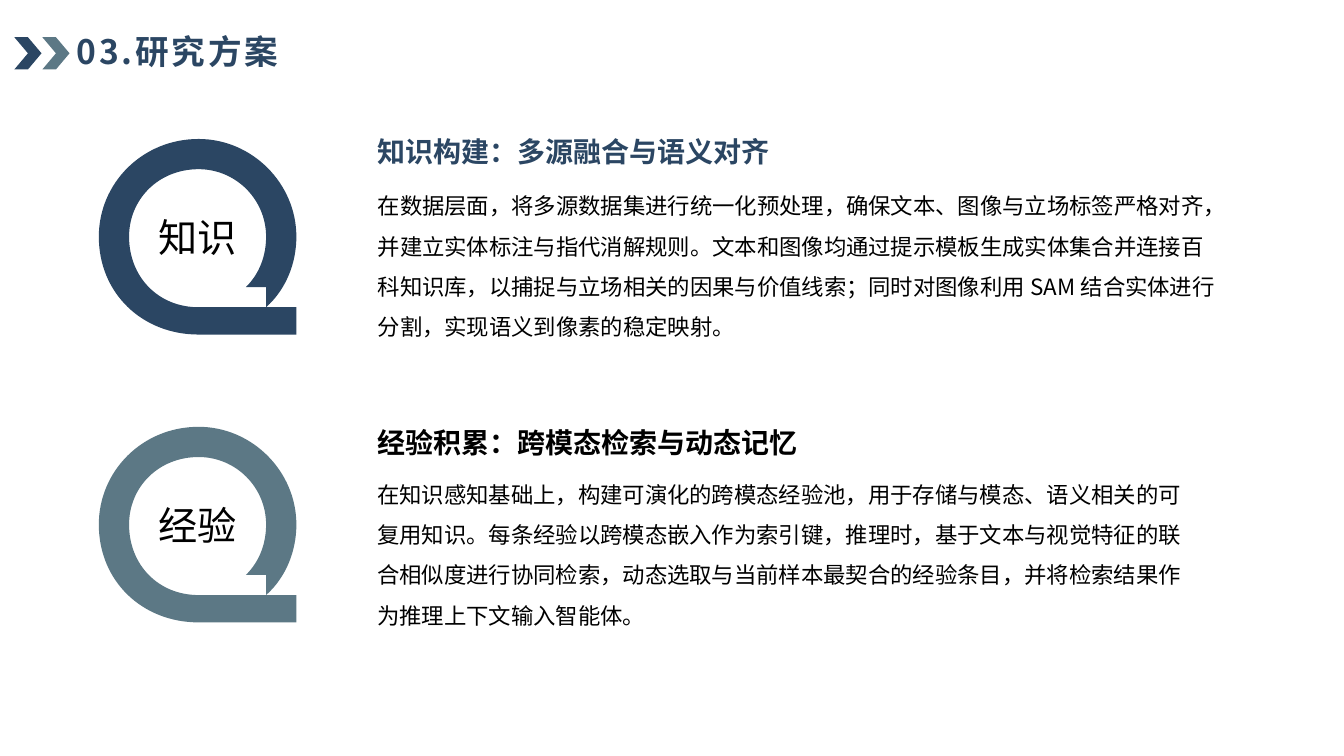
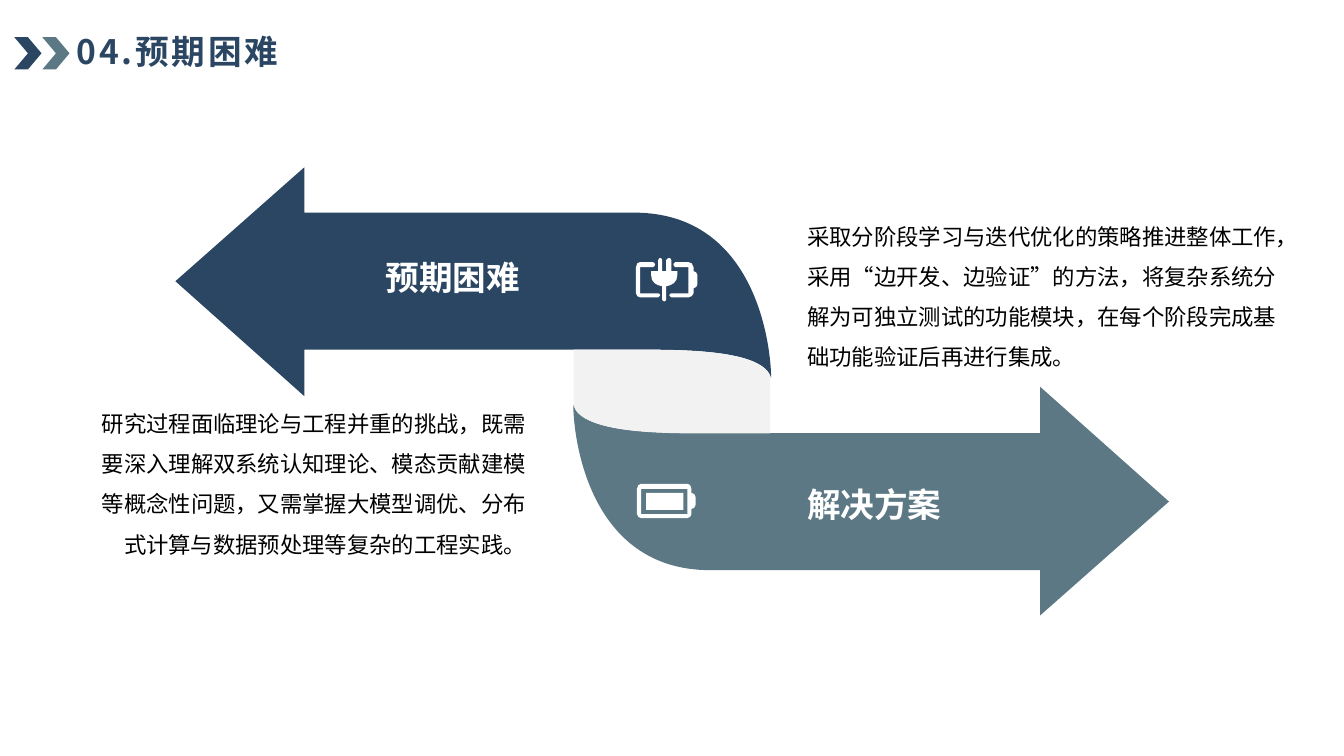
from lxml import etree
from pptx import Presentation
from pptx.dml.color import RGBColor
from pptx.enum import shapes, text
from pptx.oxml import ns
from pptx.util import Pt

FONT = "Noto Sans CJK SC"
COLORS = {"navy": "2B4663", "teal": "5C7885", "fold": "F2F2F2", "white": "FFFFFF", "black": "000000"}
LEFT, CENTER, RIGHT = text.PP_ALIGN.LEFT, text.PP_ALIGN.CENTER, text.PP_ALIGN.RIGHT

STYLES = {
    "title": {"size": 24, "bold": True, "color": "navy", "line": 0.9},
    "heading": {"size": 20, "bold": True, "wrap": False},
    "body": {"size": 16, "line": 1.5},
    "ring": {"size": 28, "align": CENTER},
    "arrow": {"size": 24, "bold": True, "color": "white", "wrap": False},
}
TITLE_BOX = (54.7, 20.9, 633.6, 34.6)
CHEVRONS = [(30.3, "teal"), (10.3, "navy")]

TOPICS = [
    {"label": "知识", "fill": "navy", "heading": "知识构建：多源融合与语义对齐", "ink": "navy",
     "heading_box": (269.5, 96.2, 283, 24.5), "body_box": (269.8, 128, 602, 141.8),
     "body": "在数据层面，将多源数据集进行统一化预处理，确保文本、图像与立场标签严格对齐，"
             "并建立实体标注与指代消解规则。文本和图像均通过提示模板生成实体集合并连接百科知识库，"
             "以捕捉与立场相关的因果与价值线索；同时对图像利用 SAM 结合实体进行分割，实现语义到像素的稳定映射。"},
    {"label": "经验", "fill": "teal", "heading": "经验积累：跨模态检索与动态记忆", "ink": "black",
     "heading_box": (269.5, 303.8, 303.1, 24.5), "body_box": (269.5, 333.9, 580.5, 113),
     "body": "在知识感知基础上，构建可演化的跨模态经验池，用于存储与模态、语义相关的可复用知识。"
             "每条经验以跨模态嵌入作为索引键，推理时，基于文本与视觉特征的联合相似度进行协同检索，"
             "动态选取与当前样本最契合的经验条目，并将检索结果作为推理上下文输入智能体。"},
]
RING_LEFT, RING_TOP, RING_PITCH = 70.6, 99.3, 205.6

SIDES = [
    {"label": "预期困难", "label_box": (274.3, 183.6, 97.2, 28.8), "align": RIGHT,
     "box": (67.7, 283.2, 308.2, 113),
     "body": "研究过程面临理论与工程并重的挑战，既需要深入理解双系统认知理论、模态贡献建模等概念性问题，"
             "又需掌握大模型调优、分布式计算与数据预处理等复杂的工程实践。"},
    {"label": "解决方案", "label_box": (576.5, 345.6, 97.2, 28.8), "align": LEFT,
     "box": (576.7, 149.5, 335.5, 113),
     "body": "采取分阶段学习与迭代优化的策略推进整体工作，采用“边开发、边验证”的方法，"
             "将复杂系统分解为可独立测试的功能模块，在每个阶段完成基础功能验证后再进行集成。"},
]

RING = [
    [(21.6, 69.8), (21.6, 43.2, 42.5, 21.6, 71.3, 21.6), (97.9, 21.6, 119.5, 43.2, 119.5, 69.8),
     (119.5, 82.8, 115.2, 95.8, 105.1, 105.8), (119.5, 105.8), (119.5, 120.2), (71.3, 120.2),
     (42.5, 120.2, 21.6, 98.6, 21.6, 69.8)],
    [(119.5, 120.2), (133.9, 107.3, 141.1, 88.6, 141.1, 69.8), (141.1, 31.7, 109.4, 0, 71.3, 0),
     (31, 0, 0, 31.7, 0, 69.8), (0, 110.2, 31, 139.7, 71.3, 139.7), (141.1, 139.7), (141.1, 120.2)],
]
ARROW = [[(452.9, 151.9), (217.4, 151.9), (217.4, 119.5), (125.3, 200.9), (217.4, 283), (217.4, 249.8),
          (452.9, 249.8), (483.8, 249.8, 545.8, 249.1, 550.8, 270),
          (550.8, 249.8, 541.4, 151.9, 452.9, 151.9)]]
ARROW_TURN = (960.3, 559.2)
FOLD = [[(507.6, 309.6), (550.1, 309.6), (550.1, 268.6), (542.2, 249.1, 483.1, 249.8, 452.9, 249.8),
         (409.7, 249.8), (409.7, 288.7), (414.7, 310.3, 475.9, 309.6, 507.6, 309.6)]]
BATTERY = [
    [(493.9, 352.1), (493.9, 349.2), (493.9, 347, 492.5, 345.6, 491, 345.6), (457.9, 345.6),
     (456.5, 345.6, 455, 347, 455, 349.2), (455, 367.2), (455, 368.6, 456.5, 370.1, 457.9, 370.1),
     (491, 370.1), (492.5, 370.1, 493.9, 368.6, 493.9, 367.2), (493.9, 363.6),
     (495.4, 363.6, 496.8, 362.2, 496.8, 360.7), (496.8, 355), (496.8, 353.5, 495.4, 352.1, 493.9, 352.1)],
    [(457.9, 367.2), (457.9, 349.2), (491, 349.2), (491, 367.2)],
]
CHARGE = (461.5, 352.1, 26.6, 12.2)
CASE_LEFT = [[(470.2, 209.5), (457.2, 209.5), (457.2, 190.8), (466.6, 190.8),
              (467.3, 190.8, 468, 189.4, 468, 188.6), (468, 187.9, 467.3, 187.2, 466.6, 187.2),
              (457.2, 187.2), (455.8, 187.2, 454.3, 188.6, 454.3, 190.8), (454.3, 209.5),
              (454.3, 211, 455.8, 212.4, 457.2, 212.4), (470.2, 212.4),
              (470.9, 212.4, 471.6, 211.7, 471.6, 211), (471.6, 210.2, 470.9, 209.5, 470.2, 209.5)]]
CASE_RIGHT = [[(495.4, 193.7), (495.4, 190.8), (495.4, 188.6, 493.2, 187.2, 491.8, 187.2), (482.4, 187.2),
               (481.7, 187.2, 481, 187.9, 481, 188.6), (481, 189.4, 481.7, 190.8, 482.4, 190.8),
               (491.8, 190.8), (491.8, 209.5), (479.5, 209.5), (478.8, 209.5, 478.1, 210.2, 478.1, 211),
               (478.1, 211.7, 478.8, 212.4, 479.5, 212.4), (491.8, 212.4),
               (493.2, 212.4, 495.4, 211, 495.4, 209.5), (495.4, 205.9),
               (496.8, 205.9, 498.2, 204.5, 498.2, 203), (498.2, 196.6),
               (498.2, 195.1, 496.8, 193.7, 495.4, 193.7)]]
PLUG = [[(483.8, 196.6), (483.8, 193.7), (479.5, 193.7), (479.5, 185.8),
         (479.5, 185, 478.8, 184.3, 478.1, 184.3), (477.4, 184.3, 475.9, 185, 475.9, 185.8),
         (475.9, 193.7), (473, 193.7), (473, 185.8), (473, 185, 472.3, 184.3, 471.6, 184.3),
         (470.9, 184.3, 470.2, 185, 470.2, 185.8), (470.2, 193.7), (465.1, 193.7), (465.1, 196.6),
         (465.1, 201.6, 468.7, 203.8, 473, 204.5), (473, 213.8), (473, 214.6, 473.7, 215.3, 474.5, 215.3),
         (475.2, 215.3, 475.9, 214.6, 475.9, 213.8), (475.9, 204.5),
         (480.2, 203.8, 483.8, 201.6, 483.8, 196.6)]]


def rgb(name):
    return RGBColor.from_string(COLORS[name])


def paint(shape, color):
    shape.shadow.inherit = False
    shape.fill.solid()
    shape.fill.fore_color.rgb = rgb(color)
    shape.line.fill.background()
    return shape


def place(part, shift, sign):
    return [(Pt(shift[0] + sign * x), Pt(shift[1] + sign * y)) for x, y in zip(part[::2], part[1::2])]


def add_outline(slide, contours, color, shift=(0, 0), sign=1):
    placed = [[place(part, shift, sign) for part in contour] for contour in contours]
    builder = slide.shapes.build_freeform(*placed[0][0][0], scale=1.0)
    for index, contour in enumerate(placed):
        if index:
            builder.move_to(*contour[0][0])
        builder.add_line_segments([part[-1] for part in contour[1:]], close=True)
    shape = paint(builder.convert_to_shape(), color)
    segments = list(shape.element.iter(ns.qn("a:lnTo")))
    parts = [part for contour in placed for part in contour[1:]]
    for segment, part in zip(segments, parts):
        if len(part) == 3:
            curve = etree.Element(ns.qn("a:cubicBezTo"))
            for x, y in part:
                etree.SubElement(curve, ns.qn("a:pt"), x=str(x - shape.left), y=str(y - shape.top))
            segment.getparent().replace(segment, curve)


def write(frame, words, style, **changes):
    look = {"color": "black", "align": LEFT, "line": 1.0, "bold": False, "wrap": True, **STYLES[style], **changes}
    settings = {"margin_left": 0, "margin_top": 0, "margin_right": 0, "margin_bottom": 0,
                "word_wrap": look["wrap"], "auto_size": text.MSO_AUTO_SIZE.NONE}
    for name, value in settings.items():
        setattr(frame, name, value)
    paragraph = frame.paragraphs[0]
    paragraph.alignment, paragraph.line_spacing = look["align"], look["line"]
    run = paragraph.add_run()
    run.text = words
    run.font.color.rgb = rgb(look["color"])
    for name, value in {"size": Pt(look["size"]), "bold": look["bold"], "name": FONT}.items():
        setattr(run.font, name, value)
    properties = run._r.get_or_add_rPr()
    etree.SubElement(properties, ns.qn("a:ea"), typeface=FONT)
    return properties


def add_text(slide, box, words, style, **changes):
    write(slide.shapes.add_textbox(*map(Pt, box)).text_frame, words, style, **changes)


def add_slide(deck, title):
    slide = deck.slides.add_slide(deck.slide_layouts[5])
    heading = slide.shapes.title
    for name, value in zip(("left", "top", "width", "height"), TITLE_BOX):
        setattr(heading, name, Pt(value))
    heading.text_frame.vertical_anchor = text.MSO_ANCHOR.MIDDLE
    write(heading.text_frame, title, "title").set("spc", "200")
    return slide


def move_chevrons_to_layout(slide):
    layout = slide.slide_layout
    for holder in list(layout.placeholders)[1:]:
        holder.element.getparent().remove(holder.element)
    for left, color in CHEVRONS:
        chevron = slide.shapes.add_shape(shapes.MSO_SHAPE.CHEVRON, Pt(left), Pt(26.6), Pt(19.4), Pt(23))
        layout.shapes.element.append(paint(chevron, color).element)


def build_plan(deck):
    slide = add_slide(deck, "03.研究方案")
    move_chevrons_to_layout(slide)
    for row, topic in enumerate(TOPICS):
        top = RING_TOP + row * RING_PITCH
        add_text(slide, topic["heading_box"], topic["heading"], "heading", color=topic["ink"])
        add_text(slide, topic["body_box"], topic["body"], "body")
        add_outline(slide, RING, topic["fill"], (RING_LEFT, top))
        add_text(slide, (96.8, top + 53.2, 88.6, 40), topic["label"], "ring")


def build_difficulties(deck):
    slide = add_slide(deck, "04.预期困难")
    add_outline(slide, ARROW, "navy")
    add_outline(slide, ARROW, "teal", ARROW_TURN, -1)
    add_outline(slide, FOLD, "fold")
    for icon in (BATTERY, CASE_LEFT, CASE_RIGHT, PLUG):
        add_outline(slide, icon, "white")
    paint(slide.shapes.add_shape(shapes.MSO_SHAPE.RECTANGLE, *map(Pt, CHARGE)), "white")
    for side in SIDES:
        add_text(slide, side["label_box"], side["label"], "arrow", align=side["align"])
        add_text(slide, side["box"], side["body"], "body", align=side["align"])


def main():
    deck = Presentation()
    deck.slide_width, deck.slide_height = Pt(960), Pt(540)
    build_plan(deck)
    build_difficulties(deck)
    deck.save("out.pptx")


if __name__ == "__main__":
    main()
